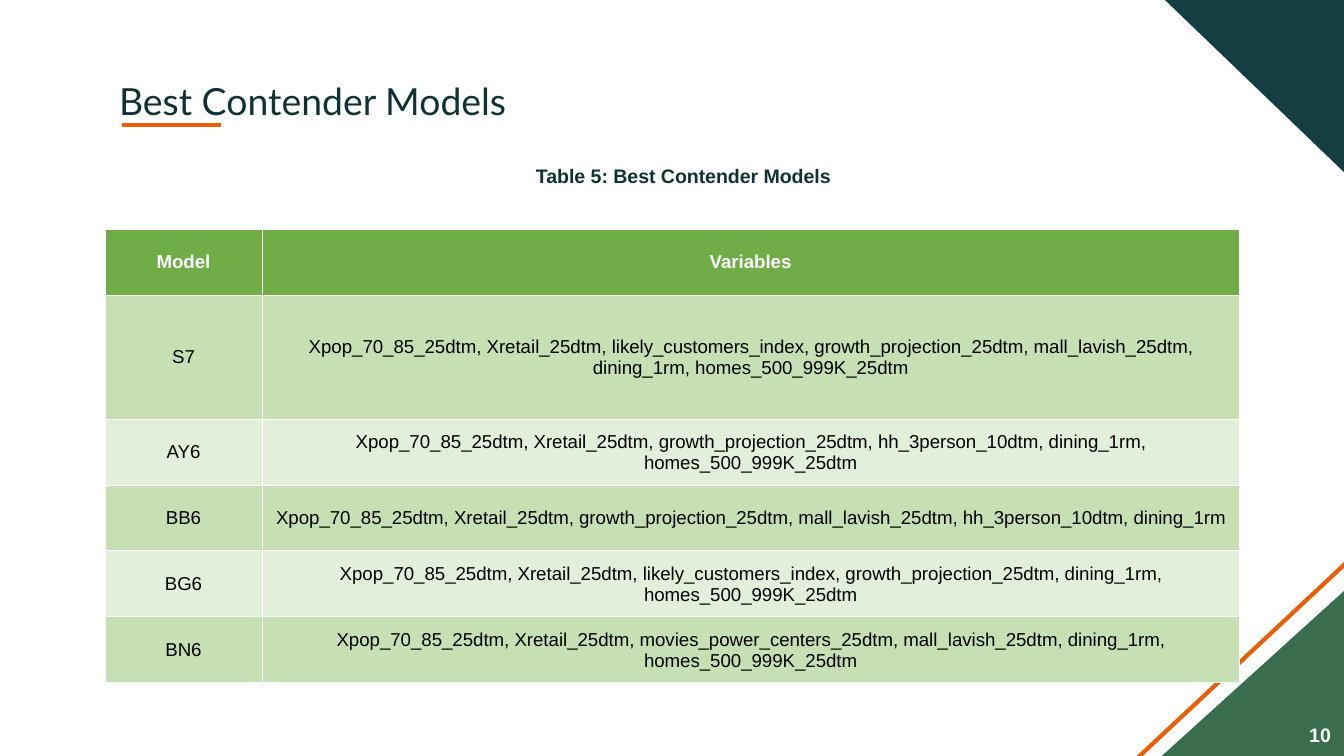
from lxml import etree
from pptx import Presentation
from pptx import util as u
from pptx.dml.color import RGBColor
from pptx.enum import shapes, text
from pptx.oxml.ns import qn

PX = 914400 / 134.4
INK, ORANGE, WHITE, BLACK = "103235", "EB5D06", "FFFFFF", "000000"
HEADER, BANDS = "70AD47", ("C6E0B4", "E2EFDA")
COLUMNS = (157, 977)
ROW_HEIGHTS = (66, 124, 66, 66, 66, 66)
MODELS = [
    ("Model", "Variables"),
    ("S7", "Xpop_70_85_25dtm, Xretail_25dtm, likely_customers_index, "
           "growth_projection_25dtm, mall_lavish_25dtm, dining_1rm, homes_500_999K_25dtm"),
    ("AY6", "Xpop_70_85_25dtm, Xretail_25dtm, growth_projection_25dtm, "
            "hh_3person_10dtm, dining_1rm, homes_500_999K_25dtm"),
    ("BB6", "Xpop_70_85_25dtm, Xretail_25dtm, growth_projection_25dtm, "
            "mall_lavish_25dtm, hh_3person_10dtm, dining_1rm"),
    ("BG6", "Xpop_70_85_25dtm, Xretail_25dtm, likely_customers_index, "
            "growth_projection_25dtm, dining_1rm, homes_500_999K_25dtm"),
    ("BN6", "Xpop_70_85_25dtm, Xretail_25dtm, movies_power_centers_25dtm, "
            "mall_lavish_25dtm, dining_1rm, homes_500_999K_25dtm"),
]


def px(*lengths):
    return [u.Emu(round(length * PX)) for length in lengths]


def color(value):
    return RGBColor.from_string(value)


class SlideBuilder:
    """Holds the text style and the slide being built."""

    def __init__(self, slide, font="Arial"):
        self.slide = slide
        self.font = font

    def style(self, paragraph, size, ink, bold=False, align=text.PP_ALIGN.LEFT, font=None):
        paragraph.alignment = align
        paragraph.font.name = font or self.font
        paragraph.font.size = u.Pt(size)
        paragraph.font.bold = bold
        paragraph.font.color.rgb = color(ink)

    def frame(self, box, words, inset, anchor):
        """Fill a box with one paragraph and return that paragraph."""
        frame = box.text_frame
        frame.word_wrap = True
        frame.auto_size = text.MSO_AUTO_SIZE.NONE
        frame.vertical_anchor = anchor
        frame.margin_left = frame.margin_right = frame.margin_top = frame.margin_bottom = px(inset)[0]
        frame.text = words
        return frame.paragraphs[0]

    def title(self, words, *place):
        box = self.slide.shapes.title
        box.left, box.top, box.width, box.height = px(*place)
        paragraph = self.frame(box, words, 13, text.MSO_ANCHOR.TOP)
        self.style(paragraph, 20, INK, font="Lato")

    def label(self, words, place, ink, inset=13, indent=0, anchor=text.MSO_ANCHOR.TOP,
              align=text.PP_ALIGN.LEFT):
        box = self.slide.shapes.add_textbox(*px(*place))
        paragraph = self.frame(box, words, inset, anchor)
        self.style(paragraph, 10.5, ink, True, align)
        paragraph._p.get_or_add_pPr().set("marL", str(px(indent)[0]))

    def line(self, *ends):
        line = self.slide.shapes.add_connector(shapes.MSO_CONNECTOR.STRAIGHT, *px(*ends))
        line.line.color.rgb = color(ORANGE)
        line.line.width = u.Pt(2.25)
        etree.SubElement(line._element.spPr, qn("a:effectLst"))

    def triangle(self, fill, *corners):
        start, *rest = [px(*corner) for corner in corners]
        builder = self.slide.shapes.build_freeform(*start)
        builder.add_line_segments(rest, close=True)
        self.paint(builder.convert_to_shape(), fill)

    def right_triangle(self, fill, *place):
        """Right triangle with its square corner at the lower right."""
        shape = self.slide.shapes.add_shape(shapes.MSO_SHAPE.RIGHT_TRIANGLE, *px(*place))
        shape._element.spPr.xfrm.set("flipH", "1")
        self.paint(shape, fill)

    def paint(self, shape, fill):
        shape.shadow.inherit = False
        shape.fill.solid()
        shape.fill.fore_color.rgb = color(fill)
        shape.line.fill.background()

    def table(self, rows, left, top):
        place = px(left, top, sum(COLUMNS), sum(ROW_HEIGHTS))
        table = self.slide.shapes.add_table(len(rows), len(COLUMNS), *place).table
        for column, width in zip(table.columns, px(*COLUMNS)):
            column.width = width
        for row, height in zip(table.rows, px(*ROW_HEIGHTS)):
            row.height = height
        for index, values in enumerate(rows):
            for column, words in enumerate(values):
                self.cell(table.cell(index, column), words, index)

    def cell(self, cell, words, row):
        is_header = row == 0
        cell.text = words
        cell.vertical_anchor = text.MSO_ANCHOR.MIDDLE
        cell.margin_left = cell.margin_right = cell.margin_top = px(1)[0]
        cell.margin_bottom = 0
        self.style(cell.text_frame.paragraphs[0], 10, WHITE if is_header else BLACK,
                   is_header, text.PP_ALIGN.CENTER)
        properties = cell._tc.get_or_add_tcPr()
        for side in ("lnL", "lnR", "lnT", "lnB"):
            border = etree.SubElement(properties, qn(f"a:{side}"), w=str(u.Pt(0.5)))
            fill = etree.SubElement(border, qn("a:solidFill"))
            etree.SubElement(fill, qn("a:srgbClr"), val=WHITE)
        cell.fill.solid()
        cell.fill.fore_color.rgb = color(HEADER if is_header else BANDS[(row - 1) % 2])


def main():
    deck = Presentation()
    deck.slide_width, deck.slide_height = px(1344, 756)
    page = SlideBuilder(deck.slides.add_slide(deck.slide_layouts[5]))
    page.triangle("143E42", (1347, 0), (1347, 175), (1165, 0))
    page.line(1359, 551, 1129, 766)
    page.right_triangle("396D4D", 1153, 583, 200, 181)
    page.title("Best Contender Models", 106, 65, 1133, 85)
    page.line(122, 125, 221, 125)
    page.label("Table 5: Best Contender Models", (504, 151, 352, 98), INK, indent=19)
    page.label("10", (1279, 715, 65, 40), WHITE, anchor=text.MSO_ANCHOR.MIDDLE,
               align=text.PP_ALIGN.RIGHT)
    page.table(MODELS, 105, 229)
    deck.save("out.pptx")


if __name__ == "__main__":
    main()
